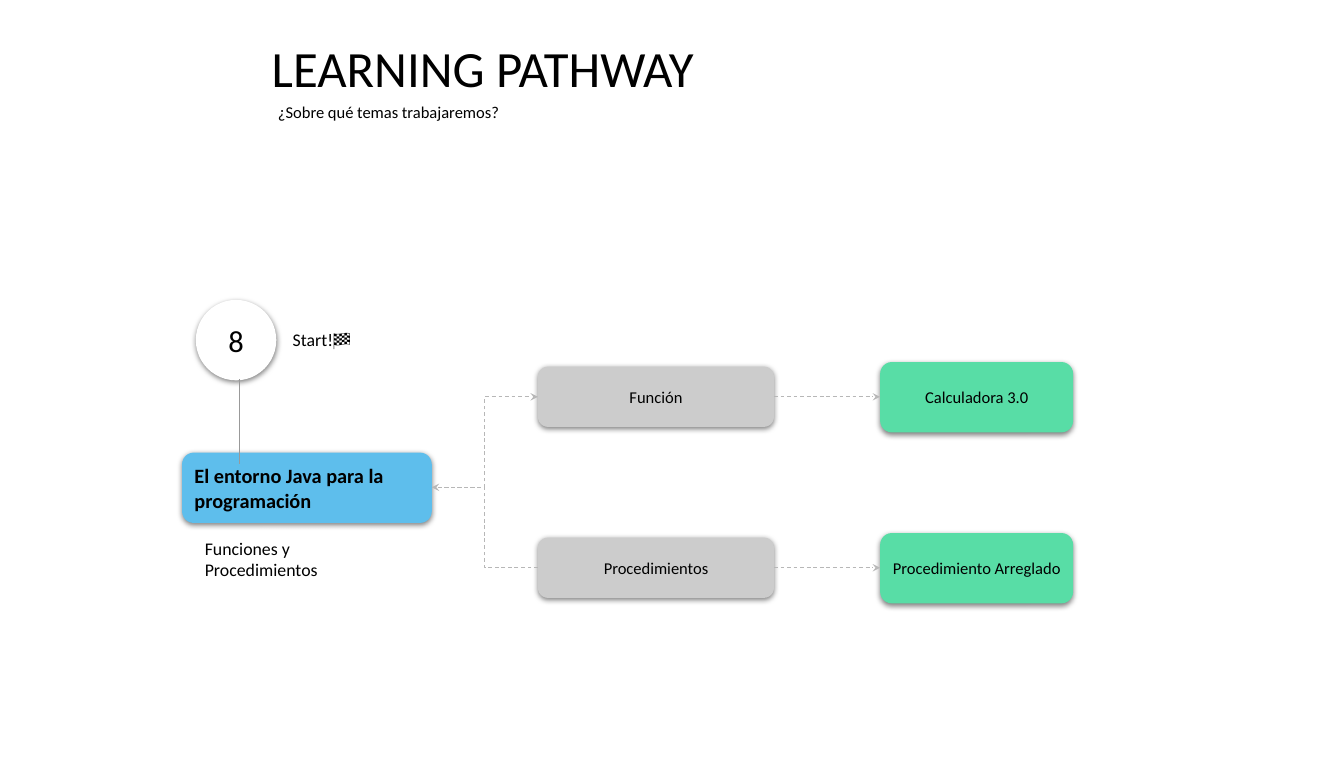
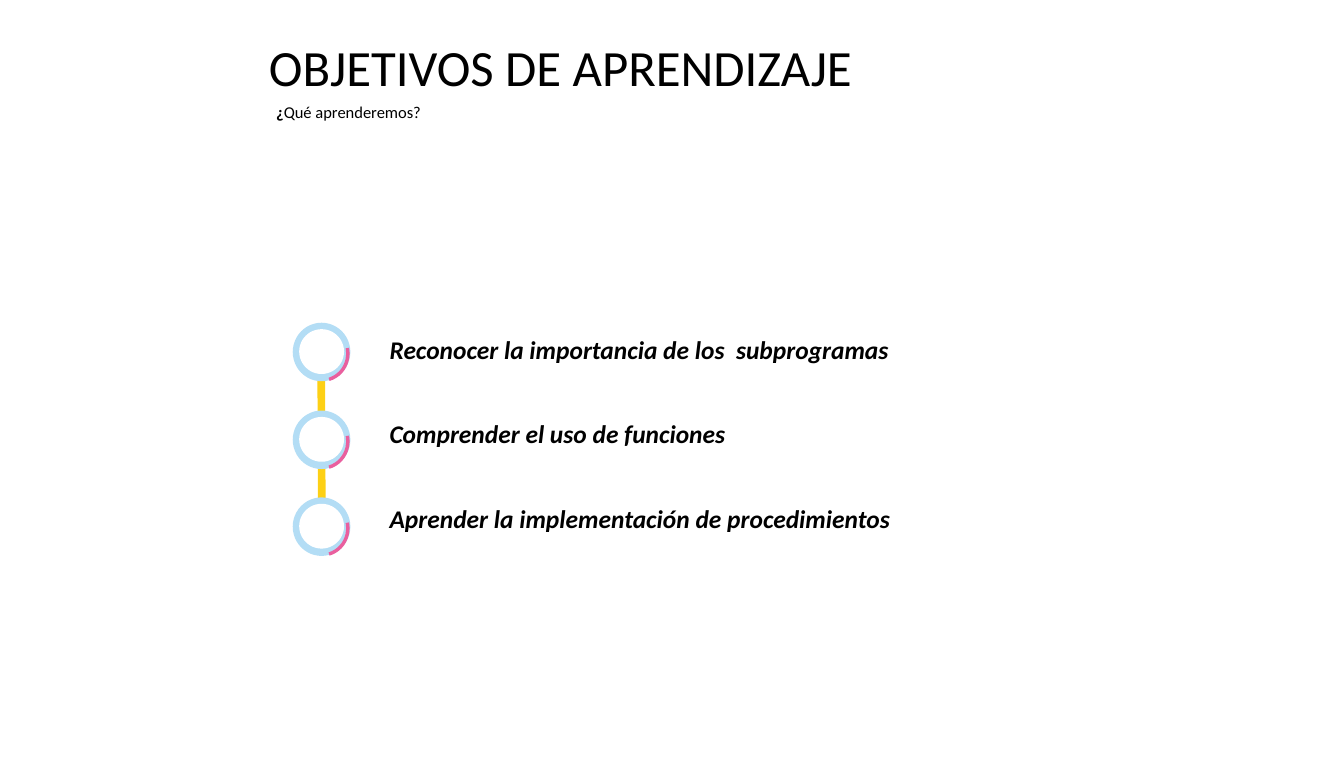
from dataclasses import dataclass

from lxml import etree
from pptx import Presentation
from pptx.dml.color import RGBColor
from pptx.enum import dml, shapes, text
from pptx.oxml.ns import qn
from pptx.util import Emu, Pt

SCALE = 9144  # EMU per px, 100 px to the inch
KIND = shapes.MSO_SHAPE
LEFT, MID = text.PP_ALIGN.LEFT, text.PP_ALIGN.CENTER


def px(n):
    return Emu(n * SCALE)


def rgb(code):
    return RGBColor.from_string(code)


@dataclass(frozen=True)
class Theme:
    font: str = "Calibri"
    ink: str = "000000"
    white: str = "FFFFFF"
    blue: str = "5EBEEC"
    green: str = "58DDA6"
    grey: str = "CCCCCC"
    dash: str = "B7B7B7"
    stem: str = "999999"
    ring: str = "B3DDF5"
    arc: str = "EA5F9E"
    chain: str = "FDD015"
    head: int = 40
    count: int = 24
    goal: int = 20
    unit: int = 16
    note: int = 14
    small: int = 13


def write(shape, words, size, bold=False, italic=False, align=LEFT,
          anchor=text.MSO_ANCHOR.TOP, theme=Theme()):
    """Fill a shape with one paragraph; words is a string or (text, bold) runs."""
    frame = shape.text_frame
    frame.word_wrap = True
    frame.auto_size = text.MSO_AUTO_SIZE.NONE
    frame.vertical_anchor = anchor
    frame.margin_left = frame.margin_right = px(10)
    frame.margin_top = frame.margin_bottom = px(10)
    para = frame.paragraphs[0]
    para.alignment = align
    runs = [(words, bold)] if isinstance(words, str) else words
    for part, heavy in runs:
        run = para.add_run()
        run.text = part
        font = run.font
        font.name, font.size = theme.font, Pt(size)
        font.bold, font.italic = heavy, italic
        font.color.rgb = rgb(theme.ink)


class Deck:
    def __init__(self, theme):
        self.theme = theme
        self.show = Presentation()
        self.show.slide_width, self.show.slide_height = px(1469), px(829)
        self.slide = None

    def page(self, title, sub, left, top, gap):
        """Start a slide with its title and subtitle."""
        self.slide = self.show.slides.add_slide(self.show.slide_layouts[5])
        head = self.slide.shapes.title
        head.left, head.top, head.width, head.height = map(px, (left, top, 857, 88))
        write(head, title, self.theme.head)
        self.label(sub, left + gap, 101, 420, 42, self.theme.small)

    def label(self, words, x, y, w, h, size, **style):
        box = self.slide.shapes.add_textbox(px(x), px(y), px(w), px(h))
        write(box, words, size, **style)

    def shape(self, kind, x, y, w, h, fill, shade=False):
        item = self.slide.shapes.add_shape(kind, px(x), px(y), px(w), px(h))
        item.fill.solid()
        item.fill.fore_color.rgb = rgb(fill)
        item.line.fill.background()
        item.shadow.inherit = False
        if shade:
            self.shade(item)
        return item

    def shade(self, item):
        """Cast a soft black shadow straight down."""
        glow = item._element.spPr.find(qn("a:effectLst"))
        cast = etree.SubElement(glow, qn("a:outerShdw"), blurRad="57150",
                                dist="19050", dir="5400000", algn="bl",
                                rotWithShape="0")
        tint = etree.SubElement(cast, qn("a:srgbClr"), val=self.theme.ink)
        etree.SubElement(tint, qn("a:alpha"), val="50000")

    def card(self, words, x, mid, w, h, fill, size, **style):
        """Rounded box centred on the height mid."""
        item = self.shape(KIND.ROUNDED_RECTANGLE, x, mid - h // 2, w, h, fill, True)
        write(item, words, size, anchor=text.MSO_ANCHOR.MIDDLE, **style)

    def line(self, start, end, color, width=0.75, bent=False, arrow=False):
        kind = shapes.MSO_CONNECTOR.ELBOW if bent else shapes.MSO_CONNECTOR.STRAIGHT
        wire = self.slide.shapes.add_connector(kind, *map(px, start + end))
        wire.line.color.rgb = rgb(color)
        wire.line.width = Pt(width)
        if arrow:
            wire.line.dash_style = dml.MSO_LINE.DASH
            etree.SubElement(wire.line._get_or_add_ln(), qn("a:tailEnd"), type="stealth")
        etree.SubElement(wire._element.spPr, qn("a:effectLst"))

    def ring(self, x, y):
        """Pale ring with a pink arc along its lower left."""
        self.shape(KIND.OVAL, x, y, 63, 64, self.theme.ring)
        self.shape(KIND.OVAL, x + 7, y + 7, 49, 49, self.theme.white)
        arc = self.shape(KIND.BLOCK_ARC, x - 1, y + 2, 64, 62, self.theme.arc)
        arc.rotation = 253.6
        # Angles count in 60000ths of a degree, adjustments in 100000ths
        for i, value in enumerate((95.84 * 0.6, 179.71 * 0.6, 0.06)):
            arc.adjustments[i] = value


def route(deck):
    look = deck.theme
    deck.page("LEARNING PATHWAY", "¿Sobre qué temas trabajaremos?", 287, 30, 7)

    # Unit and start marker
    deck.card("El entorno Java para la programación", 199, 533, 273, 77,
              look.blue, look.unit, bold=True)
    deck.label("Funciones y Procedimientos", 214, 578, 183, 67, look.note)
    disc = deck.shape(KIND.OVAL, 214, 328, 88, 88, look.white, True)
    write(disc, "8", look.count, align=MID, anchor=text.MSO_ANCHOR.MIDDLE)
    deck.line((262, 415), (262, 507), look.stem)
    deck.label("Start!🏁", 310, 350, 112, 44, look.note)

    # One row per topic, each leading to its task
    rows = ((434, "Función", "Calculadora 3.0"),
            (621, "Procedimientos", "Procedimiento Arreglado"))
    for mid, topic, task in rows:
        deck.card(topic, 588, mid, 258, 66, look.grey, look.small, align=MID)
        deck.card(task, 962, mid, 211, 77, look.green, look.small, align=MID)
        deck.line((846, mid), (962, mid), look.dash, arrow=True)

    # Links between the unit and the topics
    unit = (472, 533)
    deck.line(unit, (588, rows[0][0]), look.dash, bent=True, arrow=True)
    deck.line((588, rows[1][0]), unit, look.dash, bent=True, arrow=True)


def goals(deck):
    look = deck.theme
    deck.page("OBJETIVOS DE APRENDIZAJE",
              [("¿", True), ("Qué aprenderemos?", False)], 284, 29, 8)

    # Chain of rings, one for each goal
    deck.line((351, 386), (352, 606), look.chain, width=6)
    aims = ("Reconocer la importancia de los  subprogramas",
            "Comprender el uso de funciones",
            "Aprender la implementación de procedimientos")
    for i, aim in enumerate(aims):
        deck.ring(320, 353 + round(95.5 * i))
        deck.label(aim, 416, 355 + round(92.5 * i), 717, 54, look.goal,
                   bold=True, italic=True)


def main():
    deck = Deck(Theme())
    route(deck)
    goals(deck)
    deck.show.save("out.pptx")


if __name__ == "__main__":
    main()
